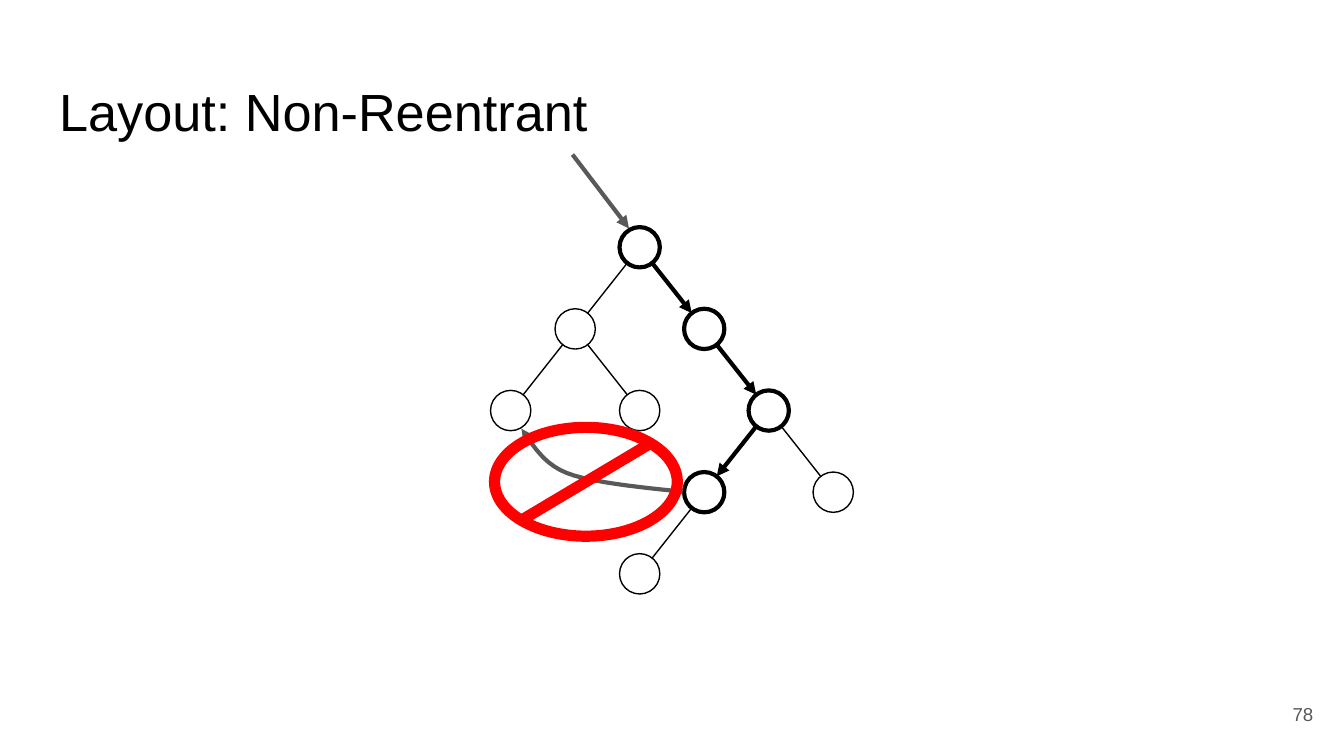
from math import hypot

from lxml import etree
from pptx import Presentation
from pptx.dml.color import RGBColor
from pptx.enum.shapes import MSO_CONNECTOR, MSO_SHAPE
from pptx.enum.text import MSO_ANCHOR, MSO_AUTO_SIZE, PP_ALIGN
from pptx.oxml.ns import qn
from pptx.util import Inches, Pt

STRAIGHT, OVAL = MSO_CONNECTOR.STRAIGHT, MSO_SHAPE.OVAL
LEFT, RIGHT = PP_ALIGN.LEFT, PP_ALIGN.RIGHT
TOP, MIDDLE = MSO_ANCHOR.TOP, MSO_ANCHOR.MIDDLE
NO_FIT = MSO_AUTO_SIZE.NONE

COLORS = {"ink": "000000", "gray": "595959", "stop": "FF0000"}
THIN, BOLD, HEAVY = 0.75, 2.25, 6
NODE = 0.3
COLS, ROWS = 6, 5

# Tree nodes as (column, row) of the grid
NODES = [(2, 0), (1, 1), (3, 1), (0, 2), (2, 2), (4, 2), (3, 3), (5, 3), (2, 4)]
EDGES = [((2, 0), (1, 1)), ((2, 0), (3, 1)), ((1, 1), (0, 2)), ((1, 1), (2, 2)),
         ((3, 1), (4, 2)), ((4, 2), (3, 3)), ((4, 2), (5, 3)), ((3, 3), (2, 4))]
VISITED = [(2, 0), (3, 1), (4, 2), (3, 3)]


def rgb(name):
    return RGBColor.from_string(COLORS[name])


def style_line(shape, color, width, arrow=False):
    shape.line.color.rgb = rgb(color)
    shape.line.width = Pt(width)
    if arrow:
        ln = shape.line._get_or_add_ln()
        etree.SubElement(ln, qn("a:tailEnd"), type="triangle")


def add_line(s, start, end, color, width, arrow=False):
    line = s.shapes.add_connector(STRAIGHT, *map(Inches, (*start, *end)))
    style_line(line, color, width, arrow)
    etree.SubElement(line._element.spPr, qn("a:effectLst"))


def add_ring(s, box, color, width):
    ring = s.shapes.add_shape(OVAL, *map(Inches, box))
    ring.shadow.inherit = False
    ring.fill.background()
    style_line(ring, color, width)


def write_text(shape, text, size, color, align, anchor):
    tf = shape.text_frame
    tf.word_wrap = True
    tf.auto_size = NO_FIT
    tf.vertical_anchor = anchor
    tf.margin_left = tf.margin_right = tf.margin_top = tf.margin_bottom = Inches(0.1)
    p = tf.paragraphs[0]
    p.text = text
    p.alignment = align
    p.font.size = Pt(size)
    p.font.name = "Arial"
    p.font.color.rgb = rgb(color)


def add_title(s, box, text):
    title = s.shapes.title
    title.left, title.top, title.width, title.height = map(Inches, box)
    write_text(title, text, 28, "ink", LEFT, TOP)


def add_page_number(s, box, text):
    write_text(s.shapes.add_textbox(*map(Inches, box)), text, 10, "gray", RIGHT, MIDDLE)


def add_tree(s, box):
    x, y, w, h = box

    def center(node):
        return (x + NODE / 2 + node[0] * (w - NODE) / (COLS - 1),
                y + NODE / 2 + node[1] * (h - NODE) / (ROWS - 1))

    for parent, child in EDGES:
        (x1, y1), (x2, y2) = center(parent), center(child)
        share = NODE / 2 / hypot(x2 - x1, y2 - y1)
        dx, dy = share * (x2 - x1), share * (y2 - y1)
        on_path = parent in VISITED and child in VISITED
        add_line(s, (x1 + dx, y1 + dy), (x2 - dx, y2 - dy), "ink",
                 BOLD if on_path else THIN, arrow=on_path)
    for node in NODES:
        cx, cy = center(node)
        add_ring(s, (cx - NODE / 2, cy - NODE / 2, NODE, NODE), "ink",
                 BOLD if node in VISITED else THIN)


def bezier(points, steps=12):
    """Return points along a cubic curve, without its start."""
    curve = []
    for i in range(1, steps + 1):
        t = i / steps
        weights = ((1 - t) ** 3, 3 * t * (1 - t) ** 2, 3 * t * t * (1 - t), t ** 3)
        curve.append(tuple(sum(k * pt[axis] for k, pt in zip(weights, points))
                           for axis in (0, 1)))
    return curve


def add_jump_back(s, box):
    """Curved arrow from the bottom right to the top left of the box."""
    x, y, w, h = box
    shares = [(1, 1), (0.88, 0.96), (0.44, 0.87), (0.28, 0.7),
              (0.11, 0.53), (0.04, 0.11), (0, 0)]
    pts = [(Inches(x + a * w), Inches(y + b * h)) for a, b in shares]
    builder = s.shapes.build_freeform(*pts[0])
    builder.add_line_segments(bezier(pts[:4]) + bezier(pts[3:]), close=False)
    arrow = builder.convert_to_shape()
    arrow.shadow.inherit = False
    arrow.fill.background()
    style_line(arrow, "gray", BOLD, arrow=True)


def add_no_sign(s, box):
    x, y, w, h = box
    add_ring(s, box, "stop", HEAVY)
    add_line(s, (x + 0.15 * w, y + 0.85 * h), (x + 0.85 * w, y + 0.15 * h),
             "stop", HEAVY)


def main():
    prs = Presentation()
    prs.slide_width = Inches(10)
    prs.slide_height = prs.slide_width * 9 // 16
    s = prs.slides.add_slide(prs.slide_layouts[5])
    add_title(s, (0.34, 0.49, 9.32, 0.63), "Layout: Non-Reentrant")
    add_page_number(s, (9.27, 5.1, 0.6, 0.43), "78")
    add_tree(s, (3.65, 1.69, 2.7, 2.73))
    add_line(s, (4.26, 1.15), (4.68, 1.7), "gray", BOLD, arrow=True)
    add_jump_back(s, (3.88, 3.19, 1.2, 0.47))
    add_no_sign(s, (3.68, 3.18, 1.36, 0.81))
    prs.save("out.pptx")


if __name__ == "__main__":
    main()
